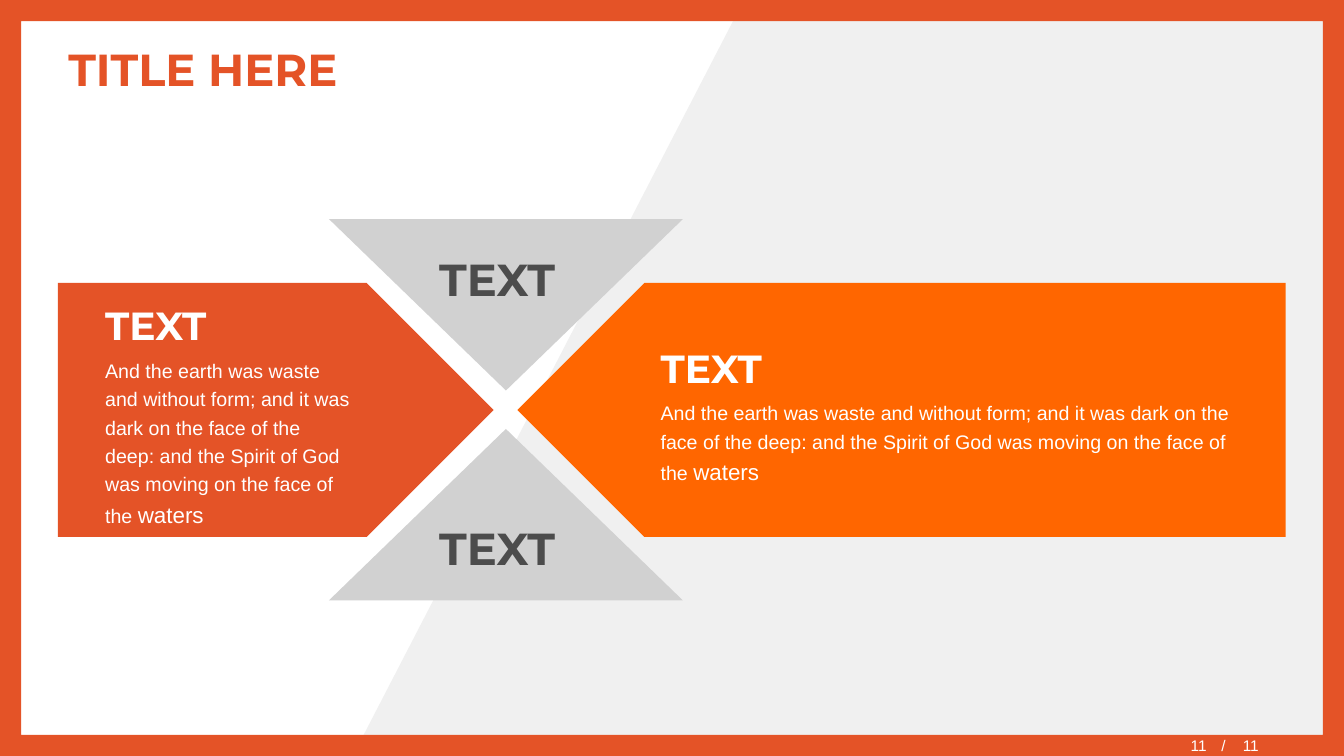
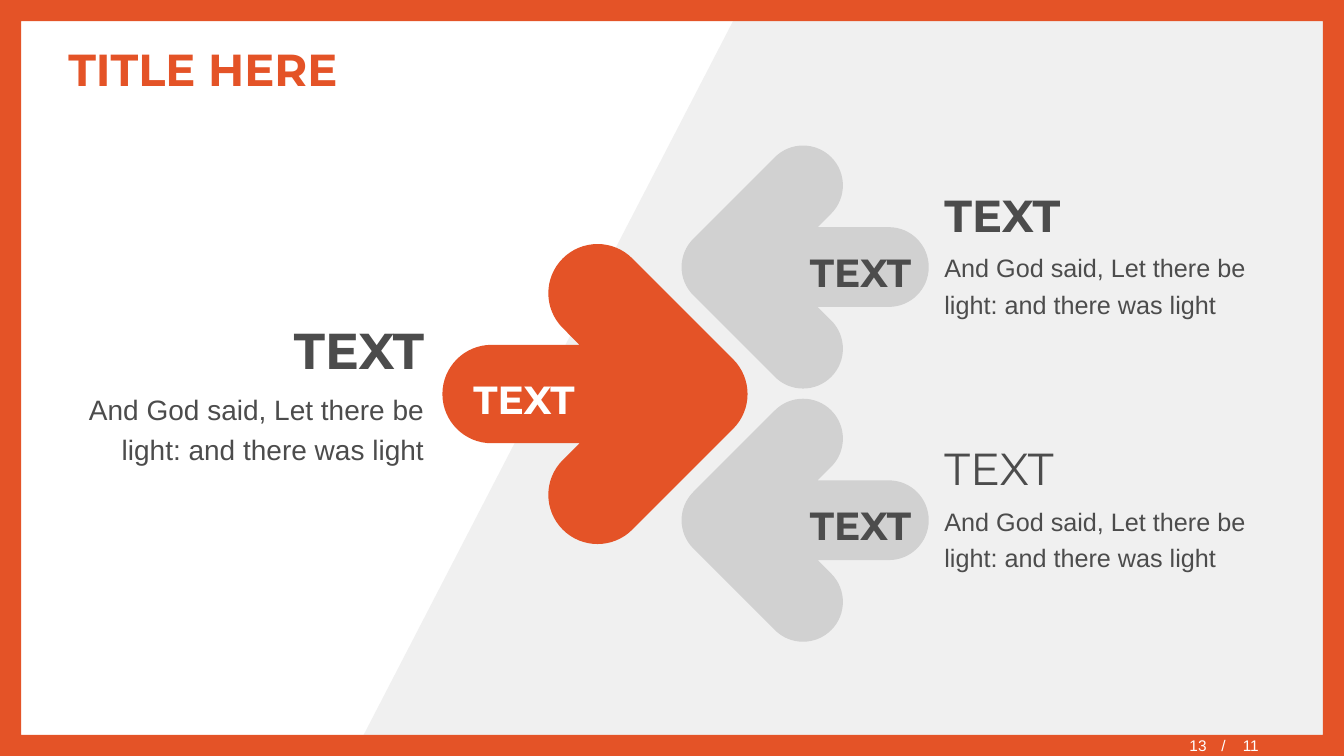
"""Build two slides of arrow diagrams in a shared orange frame."""
import dataclasses
import math

import pptx
import pptx.dml.color
import pptx.enum.shapes
import pptx.enum.text
import pptx.oxml
import pptx.oxml.ns
import pptx.util

Cm = pptx.util.Cm
Pt = pptx.util.Pt
SHAPE = pptx.enum.shapes.MSO_SHAPE
ALIGN = pptx.enum.text.PP_ALIGN
ANCHOR = pptx.enum.text.MSO_ANCHOR
AUTO_SIZE = pptx.enum.text.MSO_AUTO_SIZE


@dataclasses.dataclass(frozen=True)
class Theme:
    red: str = "E45327"
    orange: str = "FF6600"
    pale: str = "F0F0F0"
    grey: str = "D1D1D1"
    dark: str = "4C4C4C"
    white: str = "FFFFFF"
    heading: str = "Montserrat"
    body: str = "Arial"
    hero: int = 36
    title: int = 32
    label: int = 28
    hero_text: int = 20
    side_text: int = 18
    last_word: int = 16
    plate_text: int = 14
    footer: int = 11


theme = Theme()


def fill_shape(shape, color):
    shape.shadow.inherit = False
    shape.fill.solid()
    shape.fill.fore_color.rgb = pptx.dml.color.RGBColor.from_string(color)
    shape.line.fill.background()
    return shape


def write_text(shape, paragraphs, color=theme.dark, align=ALIGN.LEFT, anchor=ANCHOR.TOP,
               insets=(0.25, 0.13, 0.25, 0.13), wrap=True, grow=False, spaced=True):
    frame = shape.text_frame
    frame.word_wrap = wrap
    frame.auto_size = AUTO_SIZE.SHAPE_TO_FIT_TEXT if grow else AUTO_SIZE.NONE
    frame.vertical_anchor = anchor
    frame.margin_left, frame.margin_top, frame.margin_right, frame.margin_bottom = map(Cm, insets)
    for index, runs in enumerate(paragraphs):
        paragraph = frame.add_paragraph() if index else frame.paragraphs[0]
        paragraph.alignment = align
        if spaced:
            paragraph.line_spacing = 1.2
            paragraph.space_before = Pt(2 if index else 0)
            paragraph.space_after = Pt(2)
        for text, size, font, bold in runs:
            run = paragraph.add_run()
            run.text = text
            run.font.size = Pt(size)
            run.font.name = font
            run.font.bold = bold
            run.font.color.rgb = pptx.dml.color.RGBColor.from_string(color)


presentation = pptx.Presentation()
presentation.slide_width, presentation.slide_height = Cm(33.87), Cm(19.05)
layout = presentation.slide_layouts[5]
for placeholder in list(layout.placeholders):
    if placeholder.placeholder_format.idx:
        layout.shapes.element.remove(placeholder.element)
plates_slide = presentation.slides.add_slide(layout)
arrows_slide = presentation.slides.add_slide(layout)

builder = plates_slide.shapes.build_freeform(Cm(18.75), 0)
builder.add_line_segments([(Cm(33.87), 0), (Cm(33.87), Cm(19.05)), (Cm(8.89), Cm(19.05))])
panel = fill_shape(builder.convert_to_shape(), theme.pale)
border = fill_shape(plates_slide.shapes.add_shape(
    SHAPE.FRAME, 0, 0, presentation.slide_width, presentation.slide_height), theme.red)
border.adjustments[0] = 0.028
for position, shape in enumerate((panel, border), start=2):
    layout.shapes.element.insert(position, shape.element)

verse = ("And the earth was waste and without form; and it was dark on the face of the deep: "
         "and the Spirit of God was moving on the face of the ")
for left, width, color, insets, flipped in (
        (1.46, 10.98, theme.red, (1.19, 0.13, 2.01, 0.13), False),
        (13.04, 19.36, theme.orange, (2.01, 0.13, 1.19, 0.13), True)):
    plate = fill_shape(plates_slide.shapes.add_shape(
        SHAPE.PENTAGON, Cm(left), Cm(7.13), Cm(width), Cm(6.4)), color)
    if flipped:
        plate.element.spPr.find(pptx.oxml.ns.qn("a:xfrm")).set("flipH", "1")
    write_text(plate, [[("TEXT", theme.label, theme.heading, True)],
                       [(verse, theme.plate_text, theme.body, False),
                        ("waters", theme.last_word, theme.body, False)]],
               color=theme.white, anchor=ANCHOR.MIDDLE, insets=insets)

for top, rotation in ((5.52, 180), (10.81, 0)):
    triangle = fill_shape(plates_slide.shapes.add_shape(
        SHAPE.ISOSCELES_TRIANGLE, Cm(8.29), Cm(top), Cm(8.92), Cm(4.32)), theme.grey)
    triangle.rotation = rotation
for top in (5.94, 12.72):
    label = plates_slide.shapes.add_textbox(Cm(10.82), Cm(top), Cm(3.86), Cm(1.9))
    write_text(label, [[("TEXT", theme.title, theme.heading, True)]], wrap=False, grow=True)

radius, reach, shaft = 1.24, 2.54, 5.21
notch = radius * (1 + math.sqrt(2))
arcs = ((0, 0, radius, (-45, 0, 45)), (-reach, reach, radius, (45, 135, 225)),
        (-notch, radius, 0, (0,)), (-shaft, 0, radius, (90, 180, 270)),
        (-notch, -radius, 0, (0,)), (-reach, -reach, radius, (135, 225, 315)))
extremes = [(radius, 0), (-shaft - radius, 0), (-reach, reach + radius), (-reach, -reach - radius)]

steps = []
for x, y, bend, angles in arcs:
    previous = None
    for angle in map(math.radians, angles):
        cosine, sine = math.cos(angle), math.sin(angle)
        node = (x + bend * cosine, y + bend * sine)
        if previous is None:
            steps.append(("lnTo" if steps else "moveTo", [node]))
        else:
            before, (start_x, start_y) = previous
            handle = bend * 4 / 3 * math.tan((angle - before) / 4)
            steps.append(("cubicBezTo", [
                (start_x - handle * math.sin(before), start_y + handle * math.cos(before)),
                (node[0] + handle * sine, node[1] - handle * cosine), node]))
        previous = angle, node

hero = dict(tip=17.6, middle=9.93, scale=1, color=theme.red, label_color=theme.white,
            label_left=11.48, box=(1.47, 7.62, 9.47, 4.29), align=ALIGN.RIGHT,
            sizes=(theme.hero, theme.hero_text), bold=True)
side = dict(tip=18.18, scale=-0.81, color=theme.grey, label_color=theme.dark,
            label_left=19.96, align=ALIGN.LEFT, sizes=(theme.title, theme.side_text))
for arrow in (hero,
              dict(side, middle=6.73, box=(23.55, 4.32, 8.86, 3.89), bold=True),
              dict(side, middle=13.11, box=(23.55, 10.71, 8.86, 3.89), bold=False)):
    tip, middle, scale = arrow["tip"], arrow["middle"], arrow["scale"]
    corners = [(Cm(tip + x * scale), Cm(middle + y * scale)) for x, y in extremes]
    builder = arrows_slide.shapes.build_freeform(*corners[0])
    builder.add_line_segments(corners[1:])
    shape = fill_shape(builder.convert_to_shape(), arrow["color"])
    outline = next(shape.element.iter(pptx.oxml.ns.qn("a:path")))
    for child in list(outline):
        outline.remove(child)
    for command, nodes in steps + [("close", [])]:
        points = "".join(f'<a:pt x="{Cm(tip + x * scale) - shape.left}" '
                         f'y="{Cm(middle + y * scale) - shape.top}"/>' for x, y in nodes)
        outline.append(pptx.oxml.parse_xml(
            f'<a:{command} {pptx.oxml.ns.nsdecls("a")}>{points}</a:{command}>'))
    heading_size, text_size = arrow["sizes"]
    caption = arrows_slide.shapes.add_textbox(*map(Cm, arrow["box"]))
    write_text(caption, [[("TEXT", heading_size, theme.heading, arrow["bold"])],
                         [("And God said, Let there be light: and there was light",
                           text_size, theme.body, False)]], align=arrow["align"], grow=True)
    label = arrows_slide.shapes.add_textbox(
        Cm(arrow["label_left"]), Cm(middle - 0.86), Cm(3.45), Cm(1.7))
    write_text(label, [[("TEXT", theme.label, theme.heading, True)]], color=arrow["label_color"],
               align=ALIGN.CENTER, anchor=ANCHOR.MIDDLE, wrap=False, grow=True)

for slide, number in ((plates_slide, "11"), (arrows_slide, "13")):
    title = slide.shapes.title
    title.left, title.top, title.width, title.height = Cm(1.47), Cm(0.73), Cm(30.94), Cm(2.01)
    write_text(title, [[("TITLE HERE", theme.title, theme.heading, True)]], color=theme.red,
               anchor=ANCHOR.MIDDLE, spaced=False)
    total = slide.shapes.add_textbox(Cm(30.53), Cm(18.56), Cm(3.33), Cm(0.46))
    properties = total.text_frame.paragraphs[0]._p.get_or_add_pPr()
    properties.append(pptx.oxml.parse_xml(
        f'<a:tabLst {pptx.oxml.ns.nsdecls("a")}><a:tab pos="{Cm(0.54)}" algn="l"/></a:tabLst>'))
    write_text(total, [[("/\t11", theme.footer, theme.body, False)]], color=theme.white,
               anchor=ANCHOR.MIDDLE, spaced=False)
    page = slide.shapes.add_textbox(Cm(24.08), Cm(18.61), Cm(6.58), Cm(0.46))
    write_text(page, [[(number, theme.footer, theme.body, False)]], color=theme.white,
               align=ALIGN.RIGHT, anchor=ANCHOR.MIDDLE, insets=(0.25, 0, 0.25, 0.13), spaced=False)

presentation.save("out.pptx")
